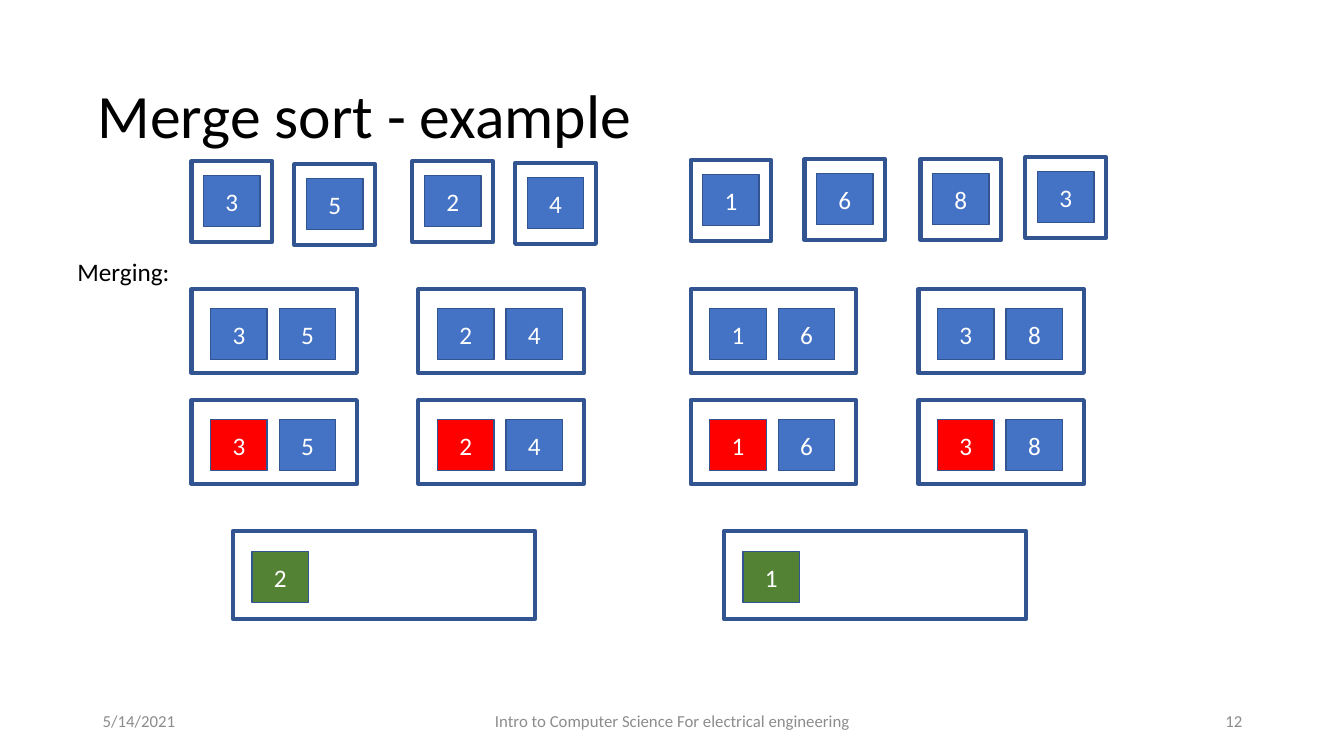
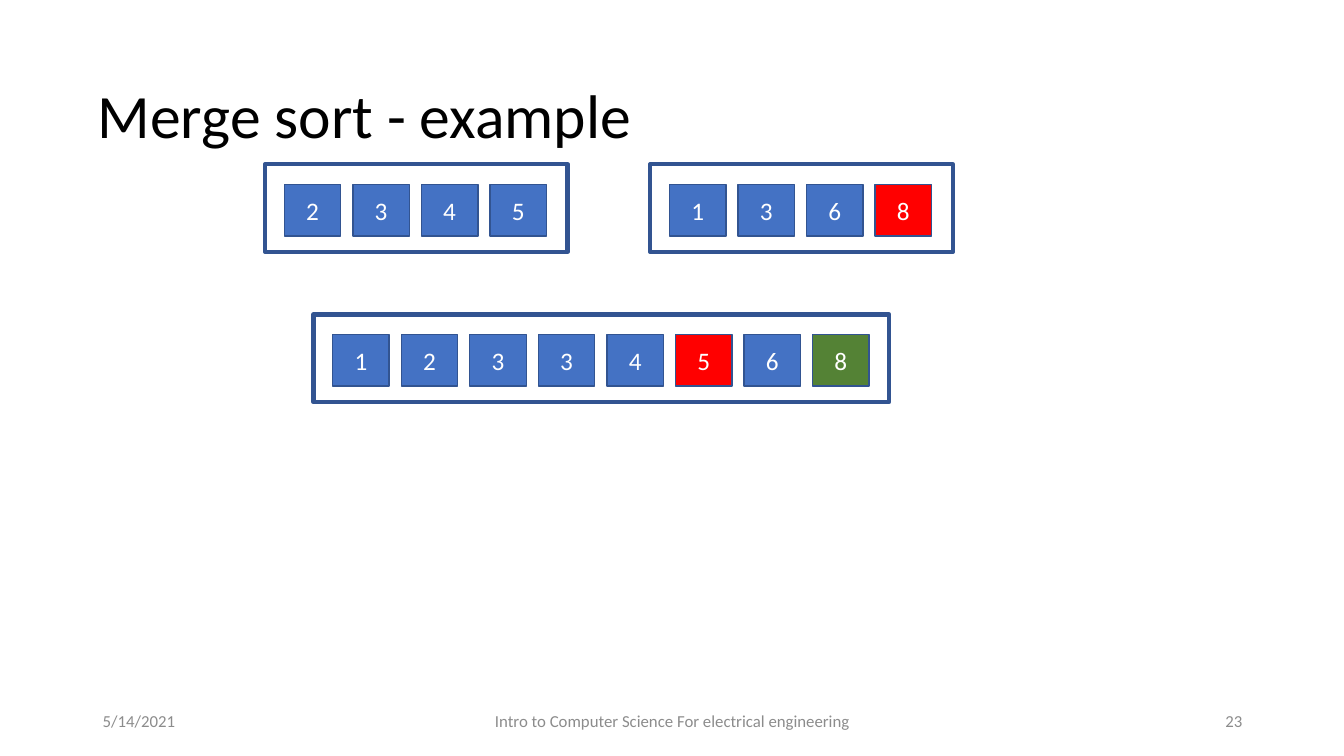
import pptx
import pptx.util
import pptx.dml.color
import pptx.enum.shapes
import pptx.enum.text

ALIGN = pptx.enum.text.PP_ALIGN
ANCHOR = pptx.enum.text.MSO_ANCHOR
RECT = pptx.enum.shapes.MSO_SHAPE.RECTANGLE

FONT = "Calibri"
COLORS = {
    "text": "000000",
    "footer": "8C8C8C",
    "edge": "325491",
    "plain": "4472C4",
    "compared": "FF0000",
    "placed": "548235",
    "digit": "FFFFFF",
}
COLUMNS, ROWS = 13.33, 7.5
SLIDE_W, SLIDE_H = pptx.util.Inches(COLUMNS), pptx.util.Inches(ROWS)
TILE_W, TILE_H, TILE_STEP = 0.56, 0.51, 0.68
TRAYS = {
    1: (0.8, 0.8, 0.12, 0.14),
    2: (1.64, 0.83, 0.19, 0.19),
    4: (3, 0.87, 0.19, 0.2),
    8: (5.71, 0.87, 0.19, 0.2),
}
DATE = "5/14/2021"
COURSE = "Intro to Computer Science For electrical engineering"


def color(name):
    return pptx.dml.color.RGBColor.from_string(COLORS[name])


def grid(x, y, w, h):
    col, row = SLIDE_W / COLUMNS, SLIDE_H / ROWS
    return round(x * col), round(y * row), round(w * col), round(h * row)


def write(tf, text, size, ink, align=ALIGN.LEFT, anchor=ANCHOR.MIDDLE):
    tf.vertical_anchor = anchor
    p = tf.paragraphs[0]
    p.alignment = align
    r = p.add_run()
    r.text = text
    r.font.name = FONT
    r.font.size = pptx.util.Pt(size)
    r.font.color.rgb = color(ink)
    return p


def add_text(s, box, text, size, ink, align=ALIGN.LEFT,
             anchor=ANCHOR.MIDDLE, wrap=True):
    tf = s.shapes.add_textbox(*grid(*box)).text_frame
    tf.word_wrap = wrap
    return write(tf, text, size, ink, align, anchor)


def add_rect(shapes, box, line_width, fill=None):
    sp = shapes.add_shape(RECT, *grid(*box))
    sp.shadow.inherit = False
    if fill:
        sp.fill.solid()
        sp.fill.fore_color.rgb = color(fill)
    else:
        sp.fill.background()
    sp.line.color.rgb = color("edge")
    sp.line.width = pptx.util.Pt(line_width)
    return sp


def add_tray(s, x, y, digits, capacity=None, marks=None):
    w, h, pad_x, pad_y = TRAYS[capacity or len(digits)]
    group = s.shapes.add_group_shape().shapes
    add_rect(group, (x, y, w, h), 3)
    for i, digit in enumerate(digits):
        tile = (x + pad_x + i * TILE_STEP, y + pad_y, TILE_W, TILE_H)
        sp = add_rect(group, tile, 1, (marks or {}).get(i, "plain"))
        write(sp.text_frame, digit, 18, "digit", ALIGN.CENTER)


def add_slide(prs, number):
    s = prs.slides.add_slide(prs.slide_layouts[6])
    title = add_text(s, (0.87, 0.45, 11.5, 1.45), "Merge sort - example", 44, "text")
    title.line_spacing = 0.9
    for x, w, text, align in (
        (0.92, 3, DATE, ALIGN.LEFT),
        (4.42, 4.5, COURSE, ALIGN.CENTER),
        (9.42, 3, str(number), ALIGN.RIGHT),
    ):
        add_text(s, (x, 6.95, w, 0.4), text, 12, "footer", align)
    return s


def build_first_merges(prs):
    s = add_slide(prs, 12)
    add_text(s, (0.67, 2.49, 1.13, 0.4), "Merging:", 18, "text",
             anchor=ANCHOR.TOP, wrap=False)
    singles = (
        (1.9, 1.6, "3"), (2.92, 1.63, "5"), (4.09, 1.6, "2"), (5.11, 1.62, "4"),
        (6.85, 1.59, "1"), (7.98, 1.58, "6"), (9.13, 1.58, "8"), (10.17, 1.56, "3"),
    )
    for x, y, digit in singles:
        add_tray(s, x, y, digit)
    pairs = ((1.9, "35"), (4.15, "24"), (6.85, "16"), (9.11, "38"))
    for y, marks in ((2.87, {}), (3.97, {0: "compared"})):
        for x, digits in pairs:
            add_tray(s, x, y, digits, marks=marks)
    for x, digit in ((2.31, "2"), (7.18, "1")):
        add_tray(s, x, 5.27, digit, capacity=4, marks={0: "placed"})


def build_last_merge(prs):
    s = add_slide(prs, 23)
    add_tray(s, 2.63, 1.63, "2345")
    add_tray(s, 6.45, 1.63, "1368", marks={3: "compared"})
    add_tray(s, 3.11, 3.12, "12334568", marks={5: "compared", 7: "placed"})


def main():
    prs = pptx.Presentation()
    prs.slide_width, prs.slide_height = SLIDE_W, SLIDE_H
    build_first_merges(prs)
    build_last_merge(prs)
    prs.save("out.pptx")


main()
